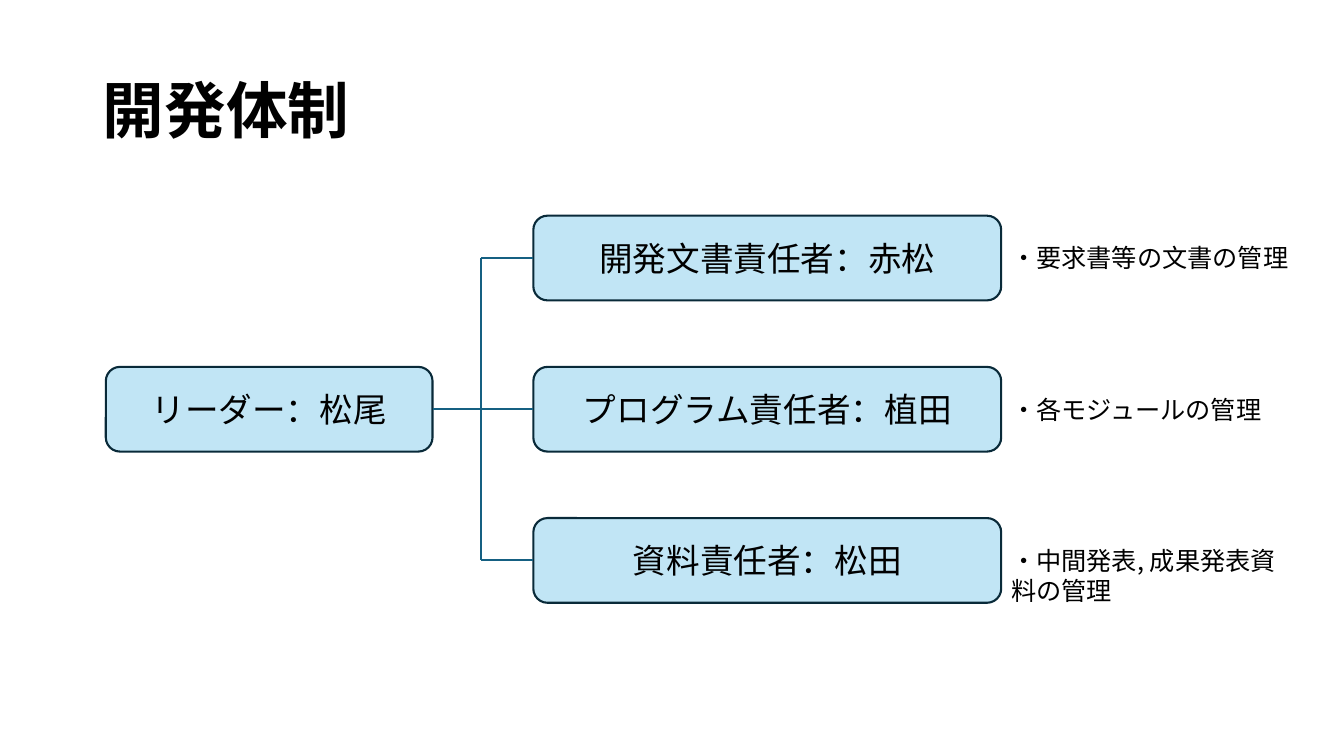
import pptx
import pptx.util
import pptx.dml.color
import pptx.enum.shapes
import pptx.enum.text
import pptx.oxml.ns
import lxml.etree

Inches = pptx.util.Inches
Pt = pptx.util.Pt
RGBColor = pptx.dml.color.RGBColor
ALIGN = pptx.enum.text.PP_ALIGN
MIDDLE = pptx.enum.text.MSO_ANCHOR.MIDDLE
qn = pptx.oxml.ns.qn

BLACK = RGBColor(0x00, 0x00, 0x00)
PALE = RGBColor(0xC1, 0xE5, 0xF5)
DARK = RGBColor(0x09, 0x2A, 0x39)
BLUE = RGBColor(0x15, 0x60, 0x82)
FONT = "Noto Sans CJK JP"


def add_text(shape, text, size, align, bold=False):
    """Write one run, with the font set for Latin and East Asian letters."""
    para = shape.text_frame.paragraphs[0]
    para.alignment = align
    run = para.add_run()
    run.text = text
    run.font.size = Pt(size)
    run.font.bold = bold
    run.font.color.rgb = BLACK
    run.font.name = FONT
    props = run.font._element
    lxml.etree.SubElement(props, qn("a:ea")).set("typeface", FONT)
    return para


def add_box(left, top, width, text):
    box = slide.shapes.add_shape(
        pptx.enum.shapes.MSO_SHAPE.ROUNDED_RECTANGLE,
        Inches(left), Inches(top), Inches(width), Inches(HIGH))
    box.shadow.inherit = False
    box.fill.solid()
    box.fill.fore_color.rgb = PALE
    box.line.color.rgb = DARK
    box.line.width = Pt(1.5)
    box.text_frame.vertical_anchor = MIDDLE
    add_text(box, text, 24, ALIGN.CENTER)
    return box


deck = pptx.Presentation()
deck.slide_width = Inches(13.33)
deck.slide_height = Inches(7.5)
slide = deck.slides.add_slide(deck.slide_layouts[5])

title = slide.shapes.title
title.left, title.top = Inches(0.92), Inches(0.4)
title.width, title.height = Inches(11.5), Inches(1.45)
title.text_frame.vertical_anchor = MIDDLE
add_text(title, "開発体制", 44, ALIGN.LEFT, True).line_spacing = 0.9

# Boxes for the leader and the three roles, with a note beside each role
TOP, STEP, HIGH = 2.14, 1.5, 0.84
LEFT, WIDE, TRUNK = 5.29, 4.64, 4.77
ROLES = [
    ("開発文書責任者：赤松", "・要求書等の文書の管理"),
    ("プログラム責任者：植田", "・各モジュールの管理"),
    ("資料責任者：松田", "・中間発表, 成果発表資料の管理"),
]
boxes = []
for row, (role, duty) in enumerate(ROLES):
    top = TOP + row * STEP
    boxes.append(add_box(LEFT, top, WIDE, role))
    note = slide.shapes.add_textbox(
        Inches(LEFT + WIDE), Inches(top + 0.22), Inches(2.98), Inches(0.4))
    note.text_frame.word_wrap = True
    add_text(note, duty, 18, ALIGN.LEFT)
lead = add_box(1.05, TOP + STEP, 3.24, "リーダー：松尾")

# Lines: leader to middle role, two branches, and the trunk between them
first = TOP + HIGH / 2
mid, last = first + STEP, first + 2 * STEP
LINES = [
    (4.29, mid, LEFT, mid, lead, boxes[1]),
    (TRUNK, first, LEFT, first, None, boxes[0]),
    (TRUNK, last, LEFT, last, None, boxes[2]),
    (TRUNK, first, TRUNK, last, None, None),
]
for x1, y1, x2, y2, start, end in LINES:
    line = slide.shapes.add_connector(
        pptx.enum.shapes.MSO_CONNECTOR.STRAIGHT,
        Inches(x1), Inches(y1), Inches(x2), Inches(y2))
    line.line.color.rgb = BLUE
    line.line.width = Pt(1.5)
    lxml.etree.SubElement(line._element.spPr, qn("a:effectLst"))
    if start:
        line.begin_connect(start, 3)
    if end:
        line.end_connect(end, 1)

deck.save("out.pptx")
